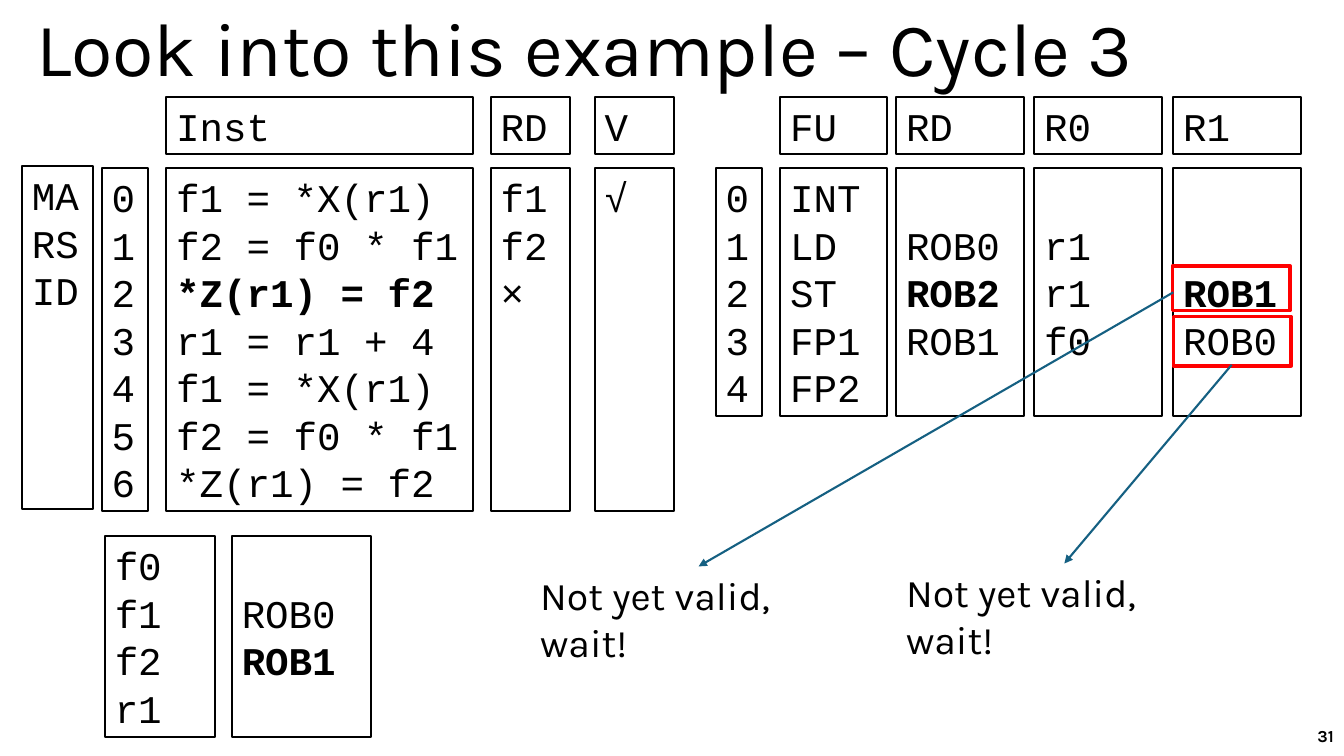
import dataclasses

import lxml.etree
import pptx
import pptx.dml.color
import pptx.enum.shapes
import pptx.enum.text
import pptx.oxml.ns
import pptx.util

Pt = pptx.util.Pt
Color = pptx.dml.color.RGBColor
Align = pptx.enum.text.PP_ALIGN
Anchor = pptx.enum.text.MSO_ANCHOR
Rectangle = pptx.enum.shapes.MSO_SHAPE.RECTANGLE
Straight = pptx.enum.shapes.MSO_CONNECTOR.STRAIGHT


@dataclasses.dataclass(frozen=True)
class Theme:
    ink: Color = Color(0x00, 0x00, 0x00)
    paper: Color = Color(0xFF, 0xFF, 0xFF)
    alert: Color = Color(0xFF, 0x00, 0x00)
    arrow: Color = Color(0x15, 0x60, 0x82)
    code_font: str = "Courier New"
    text_font: str = "Karla"
    title_size: float = 54
    body_size: float = 28
    number_size: float = 12
    row_height: float = 33.9
    inset: float = 3.6
    line: float = 1.5
    alert_line: float = 2.5


THEME = Theme()
HEADER_TOP, HEADER_HEIGHT = 69.1, 41
BODY_TOP, QUEUE_HEIGHT, STATION_HEIGHT = 120.2, 244.8, 177.1
REGISTER_TOP, REGISTER_HEIGHT = 383, 143.3

QUEUE = [
    (72.7, 33.1, None, "0 1 2 3 4 5 6".split(), 0, None),
    (118.8, 218.9, "Inst",
     ["f1 = *X(r1)", "f2 = f0 * f1", "*Z(r1) = f2", "r1 = r1 + 4",
      "f1 = *X(r1)", "f2 = f0 * f1", "*Z(r1) = f2"], 0, 2),
    (350.6, 56.9, "RD", ["f1", "f2", "×"], 0, None),
    (424.8, 56.9, "V", ["√"], 0, None),
]
STATIONS = [
    (511.2, 33.1, None, "0 1 2 3 4".split(), 0, None),
    (557.3, 76.3, "FU", "INT LD ST FP1 FP2".split(), 0, None),
    (640.1, 91.4, "RD", ["ROB0", "ROB2", "ROB1"], 1, 2),
    (738.7, 91.4, "R0", ["r1", "r1", "f0"], 1, None),
    (838.1, 91.4, "R1", ["ROB1", "ROB0"], 2, 2),
]
REGISTERS = [
    (74.9, 78.5, None, ["f0", "f1", "f2", "r1"], 0, None),
    (165.6, 99.4, None, ["ROB0", "ROB1"], 1, 2),
]
WAITS = [
    ((837.4, 190.1, 84.2, 31.7), (838.1, 208.8), (499, 404.6), (378.7, 404.6)),
    ((838.1, 226.1, 84.2, 35.3), (879.8, 260.6), (760.3, 402.5), (640.1, 402.5)),
]


def style_paragraph(para, font, size, bold=False):
    for span in para.runs:
        span.font.name = font
        span.font.size = Pt(size)
        span.font.bold = bold
        span.font.color.rgb = THEME.ink


def add_text(page, place, text, size, anchor=Anchor.TOP, align=Align.LEFT,
             bold=False, spacing=1.0):
    box = page.shapes.add_textbox(*map(Pt, place))
    frame = box.text_frame
    frame.word_wrap = True
    frame.vertical_anchor = anchor
    frame.text = text
    para = frame.paragraphs[0]
    para.alignment = align
    para.line_spacing = spacing
    style_paragraph(para, THEME.text_font, size, bold)


def add_frame(page, place, color, width):
    box = page.shapes.add_shape(Rectangle, *map(Pt, place))
    box.shadow.inherit = False
    box.fill.background()
    box.line.color.rgb = color
    box.line.width = Pt(width)
    return box


def add_code_box(page, place, rows, first_row=0, bold_row=None):
    box = add_frame(page, place, THEME.ink, THEME.line)
    box.fill.solid()
    box.fill.fore_color.rgb = THEME.paper
    frame = box.text_frame
    frame.word_wrap = True
    frame.vertical_anchor = Anchor.TOP
    frame.margin_top = Pt(THEME.inset + first_row * THEME.row_height)
    frame.text = "\n".join(rows)
    for row, para in enumerate(frame.paragraphs, first_row):
        para.alignment = Align.LEFT
        para.line_spacing = Pt(THEME.row_height)
        style_paragraph(para, THEME.code_font, THEME.body_size, row == bold_row)


def add_columns(page, columns, top, height):
    for left, width, header, rows, first_row, bold_row in columns:
        if header:
            add_code_box(page, (left, HEADER_TOP, width, HEADER_HEIGHT), [header])
        add_code_box(page, (left, top, width, height), rows, first_row, bold_row)


def add_arrow(page, start, end):
    arrow = page.shapes.add_connector(Straight, *map(Pt, start + end))
    arrow.line.color.rgb = THEME.arrow
    arrow.line.width = Pt(THEME.line)
    qn = pptx.oxml.ns.qn
    properties = arrow.line._get_or_add_ln()
    lxml.etree.SubElement(properties, qn("a:tailEnd"), type="triangle")
    lxml.etree.SubElement(arrow._element.spPr, qn("a:effectLst"))


def add_wait(page, operand, start, end, note):
    add_frame(page, operand, THEME.alert, THEME.alert_line)
    add_arrow(page, start, end)
    add_text(page, note + (241.2, 41), "Not yet valid, wait!", THEME.body_size)


def main():
    deck = pptx.Presentation()
    deck.slide_width, deck.slide_height = Pt(960), Pt(540)
    page = deck.slides.add_slide(deck.slide_layouts[6])
    add_text(page, (18.7, -4.3, 828, 83.5), "Look into this example – Cycle 3",
             THEME.title_size, Anchor.MIDDLE, spacing=0.9)
    add_text(page, (743.8, 511.2, 216, 28.8), "31", THEME.number_size,
             Anchor.MIDDLE, Align.RIGHT, bold=True)
    add_code_box(page, (15.8, 118.8, 50.4, QUEUE_HEIGHT), ["MA", "RS", "ID"])
    add_columns(page, QUEUE, BODY_TOP, QUEUE_HEIGHT)
    add_columns(page, STATIONS, BODY_TOP, STATION_HEIGHT)
    add_columns(page, REGISTERS, REGISTER_TOP, REGISTER_HEIGHT)
    for wait in WAITS:
        add_wait(page, *wait)
    deck.save("out.pptx")


if __name__ == "__main__":
    main()
